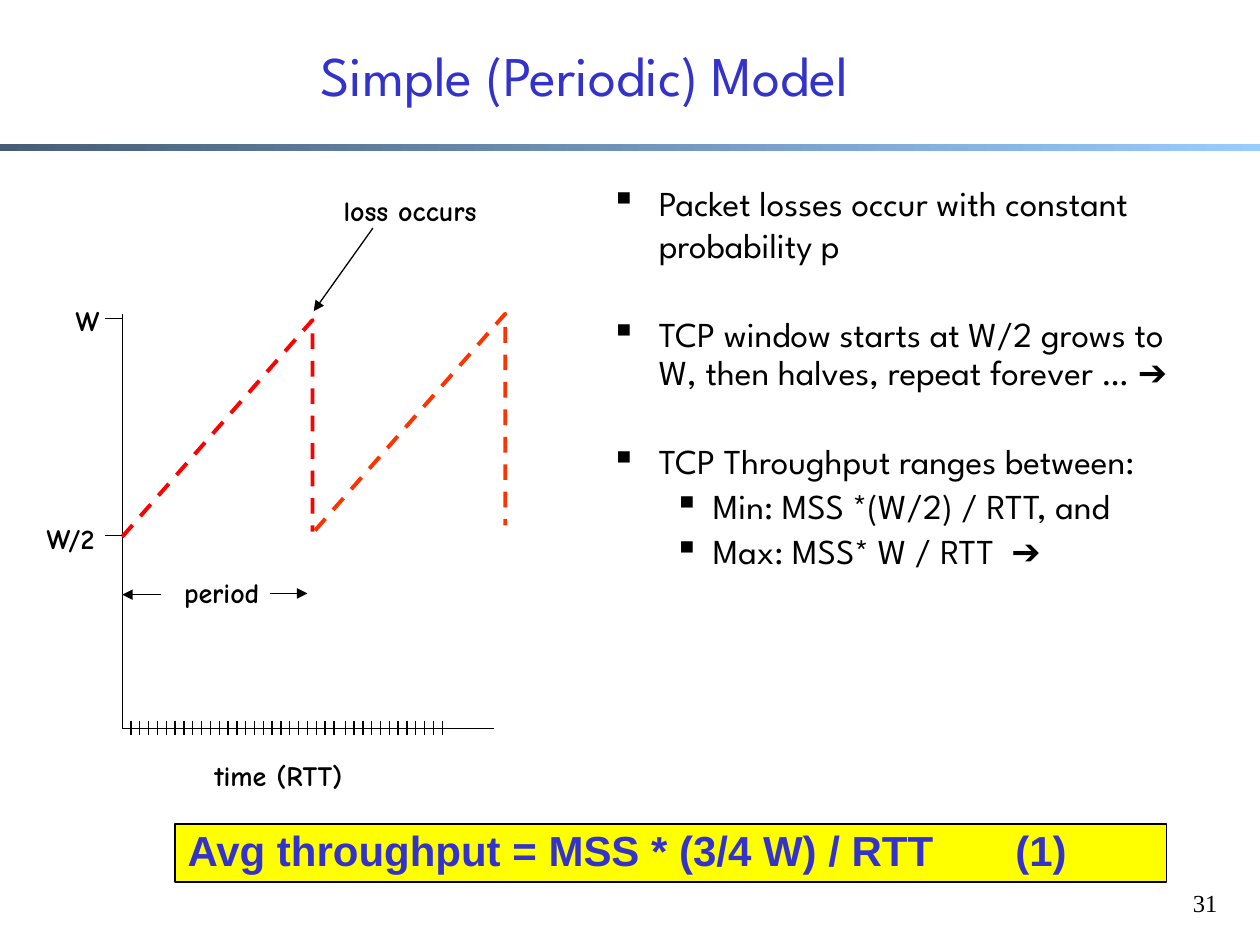
from pptx import Presentation
from pptx.dml.color import RGBColor
from pptx.enum import dml, shapes, text
from pptx.oxml.ns import qn
from pptx.util import Inches, Pt
from lxml import etree

BLACK = RGBColor(0, 0, 0)
BLUE = RGBColor(0x33, 0x33, 0xCC)
RED = RGBColor(0xFF, 0, 0)
ORANGE = RGBColor(0xFF, 0x33, 0)
YELLOW = RGBColor(0xFF, 0xFF, 0)
STEEL = RGBColor(0x47, 0x5E, 0x76)
SKY = RGBColor(0x99, 0xCC, 0xFF)

prs = Presentation()
prs.slide_width, prs.slide_height = Inches(10), Inches(7.5)
slide = prs.slides.add_slide(prs.slide_layouts[6])
items = slide.shapes


def label(words, box, font, size, color=BLACK, align=text.PP_ALIGN.CENTER, wrap=True):
    frame = items.add_textbox(*map(Inches, box)).text_frame
    frame.word_wrap = wrap
    par = frame.paragraphs[0]
    par.text, par.alignment = words, align
    par.font.name, par.font.size, par.font.color.rgb = font, Pt(size), color
    return frame


def line(x1, y1, x2, y2, arrow=False):
    link = items.add_connector(shapes.MSO_CONNECTOR.STRAIGHT, *map(Inches, (x1, y1, x2, y2)))
    link.line.width, link.line.color.rgb = Pt(0.75), BLACK
    if arrow:
        etree.SubElement(link.line._get_or_add_ln(), qn("a:tailEnd"), type="triangle")
    etree.SubElement(link._element.spPr, qn("a:effectLst"))


# Title and gradient rule
rule = items.add_shape(shapes.MSO_SHAPE.RECTANGLE, 0, Inches(1.14), Inches(10), Inches(0.06))
rule.shadow.inherit = False
rule.line.fill.background()
rule.fill.gradient()
rule.fill.gradient_angle = 0
for stop, color, pos in zip(rule.fill.gradient_stops, (STEEL, SKY), (0, 1)):
    stop.color.rgb, stop.position = color, pos
title = label("Simple (Periodic) Model", (0.39, 0.18, 8.5, 0.81), "League Spartan", 32, BLUE)
title.vertical_anchor = text.MSO_ANCHOR.MIDDLE

# Axes and sawtooth window
curves = [
    ([(0.97, 2.49), (0.97, 5.78), (3.92, 5.78)], BLACK, 0.75),
    ([(0.97, 4.26), (2.48, 2.54), (2.48, 4.22)], RED, 2.25),
    ([(2.5, 4.21), (4.01, 2.49), (4.01, 4.17)], ORANGE, 2.25),
]
for points, color, width in curves:
    points = [(Inches(x), Inches(y)) for x, y in points]
    pen = items.build_freeform(*points[0])
    pen.add_line_segments(points[1:], close=False)
    curve = pen.convert_to_shape()
    curve.shadow.inherit = False
    curve.fill.background()
    curve.line.color.rgb, curve.line.width = color, Pt(width)
    if color != BLACK:
        curve.line.dash_style = dml.MSO_LINE.DASH

# Axis ticks
for y in (2.53, 4.25):
    line(0.97, y, 0.83, y)
for start, count in ((1.04, 24), (2.74, 12)):
    for i in range(count):
        x = start + 0.07 * i
        line(x, 5.72, x, 5.83)

# Arrows
line(2.96, 1.81, 2.49, 2.47, arrow=True)
line(1.28, 4.72, 0.97, 4.72, arrow=True)
line(2.14, 4.71, 2.44, 4.71, arrow=True)

# Graph labels
for words, x, y, width in [
    ("time (RTT)", 1.52, 5.97, 1.38),
    ("W/2", 0.22, 4.09, 0.68),
    ("W", 0.48, 2.36, 0.43),
    ("loss occurs", 2.57, 1.49, 1.37),
    ("period", 1.33, 4.52, 0.86),
]:
    frame = label(words, (x, y, width, 0.37), "Comic Neue", 16, wrap=False)
    frame.paragraphs[0].font.bold = True

# Bullet list: words, level, line spacing, space before
body = items.add_textbox(*map(Inches, (4.75, 1.39, 4.89, 4.58))).text_frame
body.word_wrap = True
for i, (words, level, pitch, gap) in enumerate([
    ("Packet losses occur with constant probability p", 0, 1.0, 4),
    ("TCP window starts at W/2 grows to W, then halves, repeat forever … ➔", 0, 0.9, 29.5),
    ("TCP Throughput ranges between:", 0, 0.9, 29.5),
    ("Min: MSS *(W/2) / RTT, and", 1, 0.9, 4),
    ("Max: MSS* W / RTT  ➔", 1, 0.9, 4),
]):
    par = body.add_paragraph() if i else body.paragraphs[0]
    par.text, par.level = words, level
    par.line_spacing, par.space_before = pitch, Pt(gap)
    par.font.name, par.font.size, par.font.color.rgb = "League Spartan", Pt(20), BLACK
    left, hang = ((0.38, 0.38), (0.81, 0.31))[level]
    props = par._p.get_or_add_pPr()
    props.set("marL", str(Inches(left)))
    props.set("indent", str(-Inches(hang)))
    mark = etree.Element(qn("a:buChar"), char="▪")
    props.find(qn("a:defRPr")).addprevious(mark)

# Page number
label("31", (9.08, 7, 0.68, 0.5), "Times New Roman", 14, align=text.PP_ALIGN.RIGHT)

# Result box
result = items.add_shape(shapes.MSO_SHAPE.RECTANGLE, *map(Inches, (1.39, 6.54, 7.87, 0.46)))
result.shadow.inherit = False
result.fill.solid()
result.fill.fore_color.rgb = YELLOW
result.line.color.rgb, result.line.width = BLACK, Pt(0.75)
par = result.text_frame.paragraphs[0]
par.text = "Avg throughput = MSS * (3/4 W) / RTT\t(1)"
par.alignment, par.line_spacing = text.PP_ALIGN.LEFT, 0.9
par.font.name, par.font.size, par.font.bold = "Arial", Pt(24), True
par.font.color.rgb = BLUE
tabs = etree.Element(qn("a:tabLst"))
etree.SubElement(tabs, qn("a:tab"), pos=str(Inches(6.57)), algn="l")
par._p.pPr.find(qn("a:defRPr")).addprevious(tabs)

prs.save("out.pptx")
